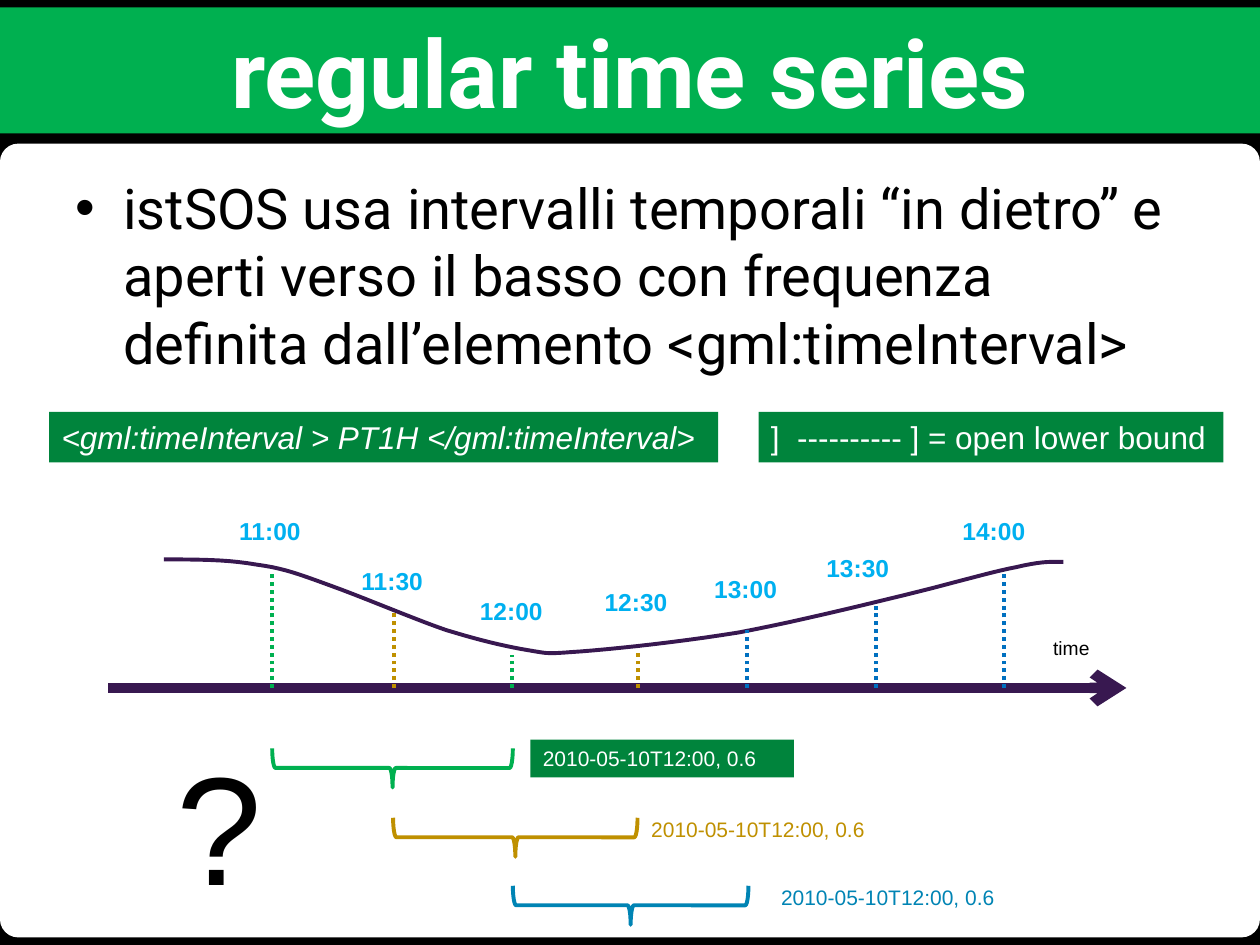
from lxml import etree
from pptx import Presentation
from pptx.dml.color import RGBColor
from pptx.enum.dml import MSO_LINE
from pptx.enum.shapes import MSO_CONNECTOR, MSO_SHAPE
from pptx.enum.text import MSO_ANCHOR, PP_ALIGN
from pptx.oxml.ns import qn
from pptx.util import Inches, Pt

STRAIGHT = MSO_CONNECTOR.STRAIGHT
DOTTED = MSO_LINE.ROUND_DOT
RECTANGLE = MSO_SHAPE.RECTANGLE
ROUNDED = MSO_SHAPE.ROUNDED_RECTANGLE
BRACE = MSO_SHAPE.RIGHT_BRACE
TOP, MIDDLE = MSO_ANCHOR.TOP, MSO_ANCHOR.MIDDLE
LEFT, CENTER = PP_ALIGN.LEFT, PP_ALIGN.CENTER

BLACK = RGBColor(0x00, 0x00, 0x00)
WHITE = RGBColor(0xFF, 0xFF, 0xFF)
GREEN = RGBColor(0x00, 0xB0, 0x50)
DARK_GREEN = RGBColor(0x00, 0x84, 0x3C)
PURPLE = RGBColor(0x38, 0x18, 0x50)
GOLD = RGBColor(0xBF, 0x90, 0x00)
BLUE = RGBColor(0x00, 0x70, 0xC0)
TEAL = RGBColor(0x00, 0x84, 0xB4)
SKY = RGBColor(0x00, 0xB0, 0xF0)

AXIS_Y = 5.46

presentation = Presentation()
presentation.slide_width = Inches(10)
presentation.slide_height = Inches(7.5)
slide = presentation.slides.add_slide(presentation.slide_layouts[6])
slide.background.fill.solid()
slide.background.fill.fore_color.rgb = BLACK


def add_box(left, top, width, height, text="", size=12, color=BLACK, fill=None,
            kind=RECTANGLE, font="Arial", bold=False, italic=False,
            anchor=TOP, align=LEFT, bullet=False, wrap=True):
    place = [Inches(value) for value in (left, top, width, height)]
    if fill is None:
        shape = slide.shapes.add_textbox(*place)
    else:
        shape = slide.shapes.add_shape(kind, *place)
        shape.shadow.inherit = False
        shape.fill.solid()
        shape.fill.fore_color.rgb = fill
        shape.line.fill.background()
    if text:
        frame = shape.text_frame
        frame.word_wrap = wrap
        frame.vertical_anchor = anchor
        paragraph = frame.paragraphs[0]
        paragraph.alignment = align
        if bullet:
            properties = paragraph._p.get_or_add_pPr()
            properties.set("marL", str(Inches(0.38)))
            properties.set("indent", str(Inches(-0.38)))
            etree.SubElement(properties, qn("a:buFont")).set("typeface", "Arial")
            etree.SubElement(properties, qn("a:buChar")).set("char", "•")
        run = paragraph.add_run()
        run.text = text
        run.font.size = Pt(size)
        run.font.name = font
        run.font.bold = bold
        run.font.italic = italic
        run.font.color.rgb = color
    return shape


def add_line(x, y, end_x, end_y, color, width):
    line = slide.shapes.add_connector(
        STRAIGHT, Inches(x), Inches(y), Inches(end_x), Inches(end_y))
    line.line.color.rgb = color
    line.line.width = Pt(width)
    etree.SubElement(line._element.spPr, qn("a:effectLst"))
    return line


panel = add_box(0, 1.14, 10, 6.3, fill=WHITE, kind=ROUNDED)
panel.adjustments[0] = 0.023
add_box(0, 0.06, 10, 1, "regular time series", 54, WHITE, GREEN,
        font="Roboto", bold=True, anchor=MIDDLE, align=CENTER)
add_box(0.5, 1.33, 9.03, 1.72,
        "istSOS usa intervalli temporali “in dietro” e aperti verso il basso "
        "con frequenza definita dall’elemento <gml:timeInterval>",
        32, font="Roboto", bullet=True)
add_box(0.39, 3.27, 5.31, 0.4, "<gml:timeInterval > PT1H </gml:timeInterval>",
        18, WHITE, DARK_GREEN, italic=True)
add_box(6.02, 3.27, 3.69, 0.4, "]  ---------- ] = open lower bound",
        18, WHITE, DARK_GREEN, wrap=False)

axis = add_line(0.86, AXIS_Y, 8.94, AXIS_Y, PURPLE, 6)
etree.SubElement(axis.line._get_or_add_ln(), qn("a:tailEnd")).set("type", "arrow")
add_box(8.26, 5, 0.51, 0.29, "time", 11)

curve_start = (1.3, 4.44)
curve_segments = [
    ((1.55, 4.44), (1.81, 4.44), (2.03, 4.48)),
    ((2.26, 4.51), (2.38, 4.56), (2.63, 4.65)),
    ((2.88, 4.74), (3.28, 4.91), (3.54, 5)),
    ((3.8, 5.08), (4.01, 5.13), (4.19, 5.16)),
    ((4.37, 5.19), (4.33, 5.19), (4.61, 5.17)),
    ((4.89, 5.15), (5.43, 5.09), (5.86, 5.02)),
    ((6.29, 4.94), (6.82, 4.81), (7.19, 4.72)),
    ((7.56, 4.63), (7.86, 4.54), (8.07, 4.5)),
    ((8.28, 4.45), (8.36, 4.46), (8.44, 4.46)),
]
steps = 10
points = []
start = curve_start
for first, second, end in curve_segments:
    for step in range(1, steps + 1):
        t = step / steps
        points.append(tuple(
            Inches((1 - t) ** 3 * a + 3 * (1 - t) ** 2 * t * b
                   + 3 * (1 - t) * t ** 2 * c + t ** 3 * d)
            for a, b, c, d in zip(start, first, second, end)))
    start = end
builder = slide.shapes.build_freeform(Inches(curve_start[0]), Inches(curve_start[1]))
builder.add_line_segments(points, close=False)
curve = builder.convert_to_shape()
curve.shadow.inherit = False
curve.fill.background()
curve.line.color.rgb = PURPLE
curve.line.width = Pt(2.25)

samples = [
    ("11:00", 1.8, 4.05, 2.16, 4.54, GREEN),
    ("11:30", 2.77, 4.44, 3.13, 4.84, GOLD),
    ("12:00", 3.71, 4.68, 4.06, 5.2, GREEN),
    ("12:30", 4.7, 4.61, 5.06, 5.16, GOLD),
    ("13:00", 5.57, 4.51, 5.93, 5, BLUE),
    ("13:30", 6.46, 4.34, 6.95, 4.8, BLUE),
    ("14:00", 7.54, 4.05, 7.97, 4.54, BLUE),
]
for label, label_left, label_top, x, line_top, color in samples:
    marker = add_line(x, AXIS_Y, x, line_top, color, 2.25)
    marker.line.dash_style = DOTTED
    add_box(label_left, label_top, 0.72, 0.34, label, 14, SKY, bold=True)

intervals = [
    (2.16, 4.07, 5.94, GREEN, 4.21, 5.87, WHITE, DARK_GREEN),
    (3.12, 5.06, 6.49, GOLD, 5.07, 6.43, GOLD, None),
    (4.07, 5.94, 7.03, TEAL, 6.1, 6.97, TEAL, None),
]
depth = 0.31
for left, right, top, color, text_left, text_top, text_color, fill in intervals:
    length = right - left
    brace = slide.shapes.add_shape(
        BRACE, Inches((left + right - depth) / 2), Inches(top + (depth - length) / 2),
        Inches(depth), Inches(length))
    brace.rotation = 90
    brace.shadow.inherit = False
    brace.fill.background()
    brace.line.color.rgb = color
    brace.line.width = Pt(2.25)
    add_box(text_left, text_top, 2.09, 0.3, "2010-05-10T12:00, 0.6",
            12, text_color, fill)

add_box(1.3, 5.76, 0.93, 1.58, "?", 88)

presentation.save("out.pptx")
